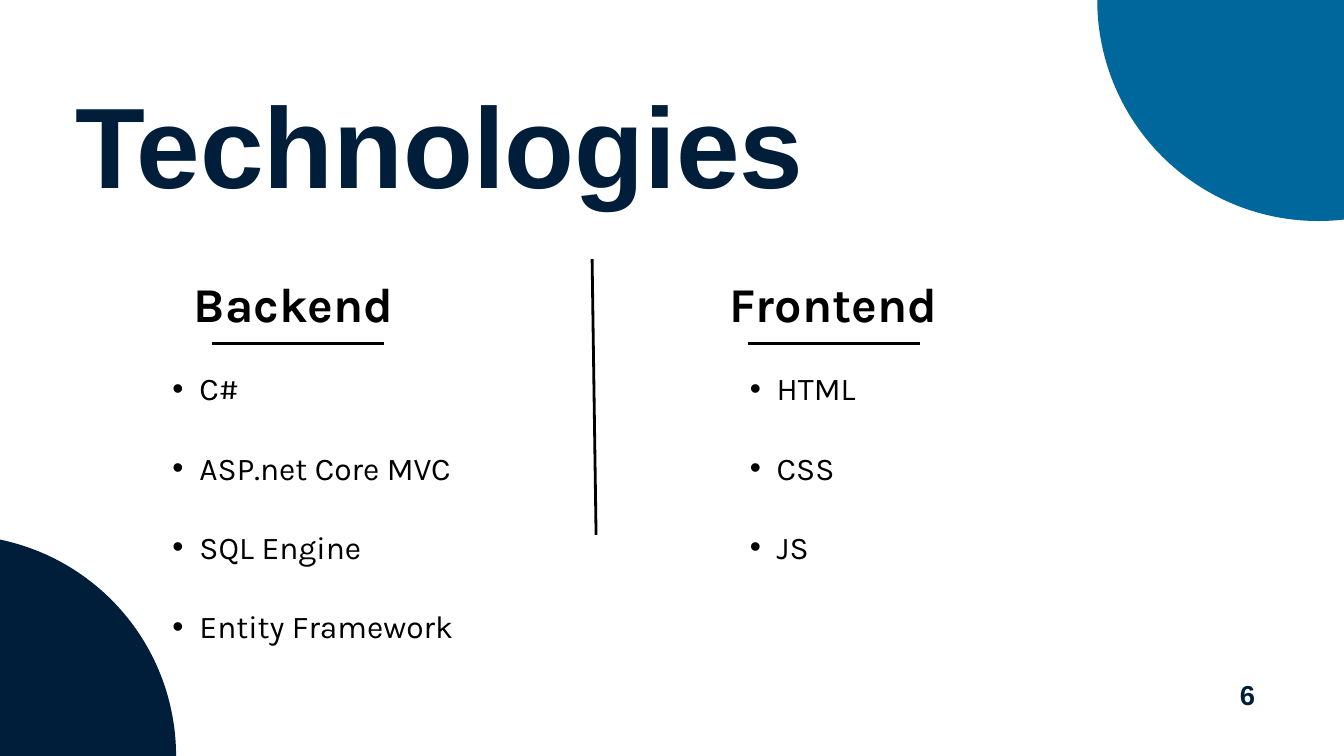
"""Build the Technologies slide with its backend and frontend columns."""
from lxml.etree import SubElement
from pptx import Presentation
from pptx.dml.color import RGBColor
from pptx.enum.shapes import MSO_CONNECTOR as Connector, MSO_SHAPE as Shape
from pptx.enum.text import MSO_ANCHOR as Anchor, MSO_AUTO_SIZE as AutoSize, PP_ALIGN as Align
from pptx.oxml.ns import qn
from pptx.util import Cm, Pt

NAVY = RGBColor(0x00, 0x1E, 0x3A)
BLUE = RGBColor(0x00, 0x67, 0x9C)
BLACK = RGBColor(0x00, 0x00, 0x00)
WIDTH, HEIGHT = 50.8, 28.58
TITLE_FONT, BODY_FONT = "Arial", "Karla"


class SlideBuilder:
    """Hold the slide and the style shared by its elements."""

    circle_diameter = 16.71
    line_width = Pt(3)
    underline_length = 6.51

    def __init__(self, slide):
        """Keep the slide that receives the elements."""
        self.slide = slide

    def circle(self, center_x, center_y, color):
        """Add a filled corner circle around a centre."""
        diameter = self.circle_diameter
        shape = self.slide.shapes.add_shape(
            Shape.OVAL, Cm(center_x - diameter / 2), Cm(center_y - diameter / 2),
            Cm(diameter), Cm(diameter))
        shape.shadow.inherit = False
        shape.fill.solid()
        shape.fill.fore_color.rgb = color
        shape.line.fill.background()

    def line(self, x1, y1, x2, y2):
        """Add a straight black line."""
        connector = self.slide.shapes.add_connector(
            Connector.STRAIGHT, Cm(x1), Cm(y1), Cm(x2), Cm(y2))
        connector.line.color.rgb = BLACK
        connector.line.width = self.line_width
        SubElement(connector._element.spPr, qn("a:effectLst"))

    def style(self, shape, font, size, color, spacing, align, bold=True):
        """Format the frame, paragraphs and runs of a text shape."""
        frame = shape.text_frame
        frame.word_wrap = True
        frame.auto_size = AutoSize.NONE
        frame.vertical_anchor = Anchor.TOP
        frame.margin_left = frame.margin_right = 0
        frame.margin_top = frame.margin_bottom = 0
        for paragraph in frame.paragraphs:
            paragraph.alignment = align
            paragraph.line_spacing = Pt(spacing)
            for run in paragraph.runs:
                run.font.name = font
                run.font.size = Pt(size)
                run.font.bold = bold
                run.font.color.rgb = color

    def title(self, text, left, top, width, height):
        """Place and format the title placeholder."""
        shape = self.slide.shapes.title
        shape.left, shape.top = Cm(left), Cm(top)
        shape.width, shape.height = Cm(width), Cm(height)
        shape.text_frame.text = text
        self.style(shape, TITLE_FONT, 122.6, NAVY, 101.7, Align.LEFT)

    def text(self, text, left, top, width, height, *style):
        """Add a formatted text box."""
        shape = self.slide.shapes.add_textbox(Cm(left), Cm(top), Cm(width), Cm(height))
        shape.text_frame.text = text
        self.style(shape, *style)

    def bullets(self, items, left, top, width):
        """Add a bulleted list."""
        shape = self.slide.shapes.add_textbox(
            Cm(left), Cm(top), Cm(width), Pt(85 * len(items)))
        shape.text_frame.text = "\n".join(items)
        for paragraph in shape.text_frame.paragraphs:
            paragraph.level = 1
            properties = paragraph._p.get_or_add_pPr()
            properties.set("marL", str(Cm(2.03)))
            properties.set("indent", str(Cm(-1.02)))
            SubElement(properties, qn("a:buFont"), typeface="Arial")
            SubElement(properties, qn("a:buChar"), char="•")
        self.style(shape, BODY_FONT, 34, BLACK, 85, Align.JUSTIFY, False)

    def column(self, heading, items, center, underline_left, list_left):
        """Add an underlined heading with its list."""
        width = 9.2
        self.line(underline_left, 13, underline_left + self.underline_length, 13)
        self.text(heading, center - width / 2, 9.98, width, 2.46,
                  BODY_FONT, 52, BLACK, 72.8, Align.CENTER)
        self.bullets(items, list_left, 12.4, 12.07)


def main():
    """Create and save the presentation."""
    presentation = Presentation()
    presentation.slide_width, presentation.slide_height = Cm(WIDTH), Cm(HEIGHT)
    slide = presentation.slides.add_slide(presentation.slide_layouts[5])
    builder = SlideBuilder(slide)
    builder.circle(49.83, 0, BLUE)
    builder.circle(-1.7, HEIGHT, NAVY)
    builder.line(22.38, 9.8, 22.53, 20.22)
    builder.title("Technologies", 2.84, 4.42, 39.34, 3.96)
    builder.text("6", 46.38, 26.01, 1.55, 0.94,
                 TITLE_FONT, 29.4, NAVY, 24.4, Align.CENTER)
    builder.column("Backend", ["C#", "ASP.net Core MVC", "SQL Engine", "Entity Framework"],
                   11.1, 8, 5.51)
    builder.column("Frontend", ["HTML", "CSS", "JS"], 31.5, 28.28, 27.33)
    presentation.save("out.pptx")


if __name__ == "__main__":
    main()
